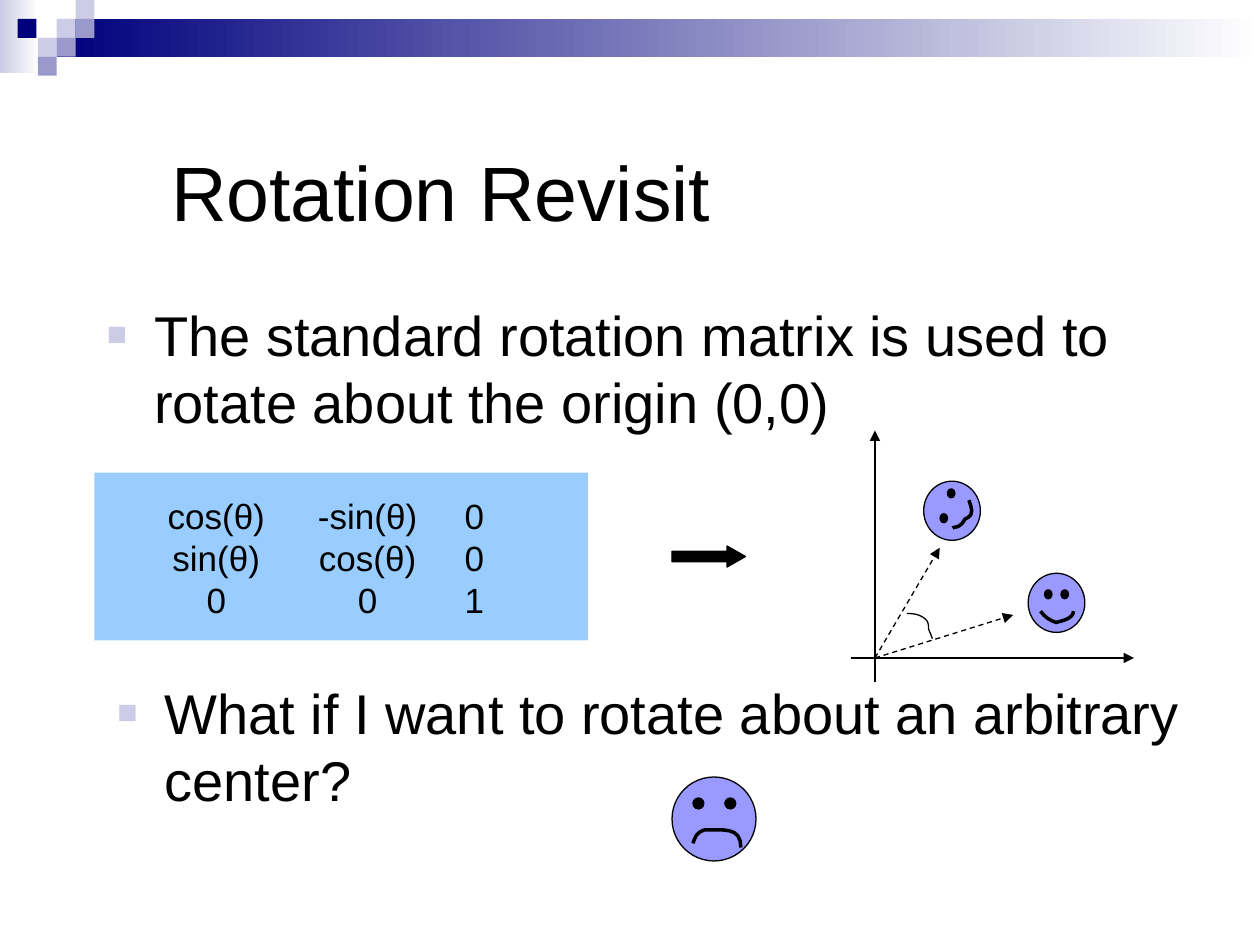
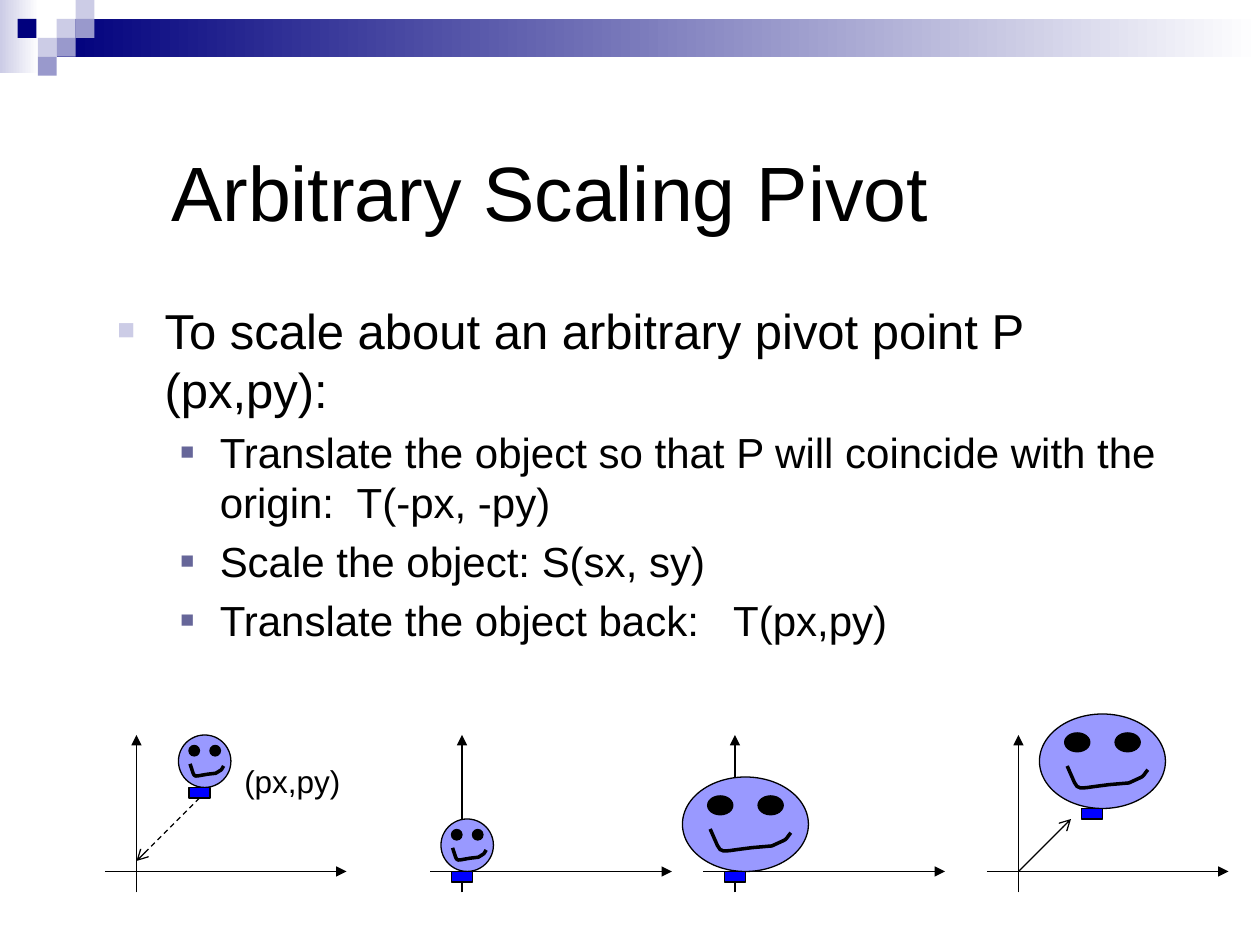
"""Build two slides on rotating about the origin and scaling about a pivot."""
from dataclasses import dataclass

from lxml import etree
from pptx import Presentation
from pptx import util as u
from pptx.dml.color import RGBColor
from pptx.enum import dml, shapes, text
from pptx.oxml.ns import qn


@dataclass(frozen=True)
class Theme:
    font: str = "Arial"
    ink: str = "000000"
    navy: str = "00007D"
    lilac: str = "CCCCE6"
    violet: str = "9999CC"
    slate: str = "666699"
    white: str = "FFFFFF"
    face: str = "9999FF"
    pivot: str = "0000FF"
    panel: str = "99CCFF"
    title_size: float = 44
    large_size: float = 32
    body_size: float = 28
    detail_size: float = 24
    matrix_size: float = 20
    label_size: float = 18
    thin: float = 0.75
    thick: float = 2


THEME = Theme()
Shape = shapes.MSO_SHAPE

SQUARE = 10.8
SQUARES = [
    (3, 1, THEME.lilac), (4, 0, THEME.lilac), (4, 1, THEME.violet),
    (2, 2, THEME.lilac), (0.93, 1, THEME.navy), (3, 2, THEME.violet),
    (2, 3, THEME.violet),
]
BANDS = [
    ((0, 0, 22.3, 41.8), THEME.lilac),
    ((3 * SQUARE, SQUARE, 720 - 3 * SQUARE, 2 * SQUARE), THEME.navy),
]
TITLE_BOX = (90.7, 49, 613.4, 90)

BULLET_STYLES = [
    {"margin": 27, "hanging": 27, "color": THEME.lilac, "percent": 60},
    {"margin": 58.5, "hanging": 22.5, "color": THEME.slate, "percent": 55},
]

FACES = {
    "happy": {
        "eyes": [(0.29, 0.28), (0.58, 0.28)], "eye_size": (0.13, 0.15),
        "mouth": [(0.22, 0.64), (0.29, 0.74), (0.38, 0.79), (0.49, 0.83),
                  (0.58, 0.81), (0.8, 0.77), (0.8, 0.64)],
    },
    "turned": {
        "eyes": [(0.29, 0.55), (0.42, 0.13)], "eye_size": (0.13, 0.15),
        "mouth": [(0.8, 0.32), (0.84, 0.45), (0.91, 0.57), (0.73, 0.64),
                  (0.69, 0.7), (0.69, 0.72), (0.6, 0.77),
                  (0.58, 0.77), (0.51, 0.79), (0.51, 0.79)],
    },
    "sad": {
        "eyes": [(0.25, 0.25), (0.63, 0.25)], "eye_size": (0.13, 0.13),
        "mouth": [(0.25, 0.79), (0.28, 0.7), (0.3, 0.66), (0.39, 0.63),
                  (0.6, 0.64), (0.82, 0.58), (0.82, 0.84)],
    },
    "smirk": {
        "eyes": [(0.2, 0.2), (0.6, 0.2)], "eye_size": (0.2, 0.2),
        "mouth": [(0.22, 0.55), (0.34, 0.89), (0.22, 0.77), (0.71, 0.73),
                  (0.85, 0.64), (0.8, 0.69), (0.86, 0.59)],
    },
}

ROTATION = {
    "title": "Rotation Revisit",
    "bullets": [
        ((54, 168, 612, 324),
         "The standard rotation matrix is used to rotate about the origin (0,0)"),
        ((60, 384, 630, 108),
         "What if I want to rotate about an arbitrary center?"),
    ],
    "panel": (54, 270, 282, 96),
    "matrix": [("cos(θ)", "-sin(θ)", "0"), ("sin(θ)", "cos(θ)", "0"), ("0", "0", "1")],
    "matrix_box": (72, 275.8, 219.6, 85),
    "matrix_tabs": (44.5, 131, 192),
    "arrow": (384, 312, 42, 12),
    "origin": (500, 376),
    "reach": (14, 148, 130, 14),
    "rays": [(579, 351.4), (537, 313)],
    "angle": [(532.8, 365), (532.1, 362.9), (531.4, 361.4), (530.6, 359.3),
              (530.6, 357.8), (530.6, 356.4), (529.9, 355),
              (527, 351.4), (522.7, 350.6), (518.4, 350.6)],
    "faces": [
        ("happy", (587.5, 327.6, 32.4, 33.8)),
        ("turned", (527.8, 275, 32.4, 33.8)),
        ("sad", (384, 444, 48, 48)),
    ],
}

SMALL_FACE = {"size": (30, 30), "pivot_offset": 12}
BIG_FACE = {"size": (72, 54), "pivot_offset": 30}
BASELINE = 498
SCALING = {
    "title": "Arbitrary Scaling Pivot",
    "box": (60, 168, 612, 324),
    "points": [
        (0, "To scale about an arbitrary pivot point P (px,py):", THEME.body_size),
        (1, "Translate the object so that P will coincide with the origin:  T(-px, -py)",
         THEME.detail_size),
        (1, "Scale the object: S(sx, sy)", THEME.detail_size),
        (1, "Translate the object back:   T(px,py)", THEME.detail_size),
    ],
    "reach": (18, 120, 78, 12),
    "steps": [
        (78, (114, 450), SMALL_FACE),
        (264, (264, BASELINE), SMALL_FACE),
        (420, (420, BASELINE), BIG_FACE),
        (582, (624, 462), BIG_FACE),
    ],
    "label": ((132.5, 432, 71.3, 28.8), "(px,py)"),
    "move_to_origin": (78, 492),
    "move_back": (612, 468),
}


def points(values):
    return [u.Pt(value) for value in values]


def rgb(value):
    return RGBColor.from_string(value)


def add_figure(slide, kind, box, fill, outlined=True):
    shape = slide.shapes.add_shape(kind, *points(box))
    shape.shadow.inherit = False
    shape.fill.solid()
    shape.fill.fore_color.rgb = rgb(fill)
    if outlined:
        shape.line.color.rgb = rgb(THEME.ink)
        shape.line.width = u.Pt(THEME.thin)
    else:
        shape.line.fill.background()
    return shape


def add_curve(slide, controls, width):
    steps = 8
    vertices = []
    for start in range(0, len(controls) - 1, 3):
        section = controls[start:start + 4]
        for step in range(1, steps + 1):
            t = step / steps
            weights = ((1 - t) ** 3, 3 * t * (1 - t) ** 2, 3 * t * t * (1 - t), t ** 3)
            vertices.append(points(
                sum(weight * point[axis] for weight, point in zip(weights, section))
                for axis in (0, 1)))
    builder = slide.shapes.build_freeform(*points(controls[0]))
    builder.add_line_segments(vertices, close=False)
    curve = builder.convert_to_shape()
    curve.shadow.inherit = False
    curve.fill.background()
    curve.line.color.rgb = rgb(THEME.ink)
    curve.line.width = u.Pt(width)


def add_arrow(slide, start, end, head="triangle", dashed=False):
    connector = slide.shapes.add_connector(
        shapes.MSO_CONNECTOR.STRAIGHT, *points((*start, *end)))
    connector.line.color.rgb = rgb(THEME.ink)
    connector.line.width = u.Pt(THEME.thin)
    if dashed:
        connector.line.dash_style = dml.MSO_LINE.DASH
    properties = connector._element.spPr
    etree.SubElement(properties.find(qn("a:ln")), qn("a:tailEnd"), type=head)
    etree.SubElement(properties, qn("a:effectLst"))
    return connector


def add_axes(slide, origin, reach):
    x, y = origin
    left, right, up, down = reach
    add_arrow(slide, (x - left, y), (x + right, y))
    add_arrow(slide, (x, y + down), (x, y - up))


def add_face(slide, name, box):
    left, top, width, height = box
    face = FACES[name]
    eye_width, eye_height = face["eye_size"]
    add_figure(slide, Shape.OVAL, box, THEME.face)
    for x, y in face["eyes"]:
        add_figure(slide, Shape.OVAL, (left + x * width, top + y * height,
                                       eye_width * width, eye_height * height), THEME.ink)
    mouth = [(left + x * width, top + y * height) for x, y in face["mouth"]]
    add_curve(slide, mouth, THEME.thick)


def add_text(slide, box, lines, size, anchor=text.MSO_ANCHOR.TOP, wrap=True):
    text_frame = slide.shapes.add_textbox(*points(box)).text_frame
    text_frame.word_wrap = wrap
    text_frame.vertical_anchor = anchor
    text_frame.text = "\n".join(lines)
    for paragraph in text_frame.paragraphs:
        format_runs(paragraph, size)
    return text_frame


def format_runs(paragraph, size):
    for run in paragraph.runs:
        run.font.name = THEME.font
        run.font.size = u.Pt(size)
        run.font.color.rgb = rgb(THEME.ink)


def add_bullets(slide, box, items):
    text_frame = add_text(slide, box, [line for _, line, _ in items], THEME.body_size)
    for paragraph, (level, _, size) in zip(text_frame.paragraphs, items):
        style = BULLET_STYLES[level]
        format_runs(paragraph, size)
        paragraph.level = level
        paragraph.space_before = u.Pt(0.2 * size)
        properties = paragraph._p.get_or_add_pPr()
        properties.set("marL", str(u.Pt(style["margin"])))
        properties.set("indent", str(-u.Pt(style["hanging"])))
        color = etree.SubElement(properties, qn("a:buClr"))
        etree.SubElement(color, qn("a:srgbClr"), val=style["color"])
        etree.SubElement(properties, qn("a:buSzPct"), val=str(style["percent"] * 1000))
        etree.SubElement(properties, qn("a:buFont"), typeface=THEME.font)
        etree.SubElement(properties, qn("a:buChar"), char="■")


def add_matrix(slide, box, rows, tabs):
    lines = ["".join("\t" + cell for cell in row) for row in rows]
    text_frame = add_text(slide, box, lines, THEME.matrix_size, text.MSO_ANCHOR.MIDDLE)
    for paragraph in text_frame.paragraphs:
        tab_list = etree.SubElement(paragraph._p.get_or_add_pPr(), qn("a:tabLst"))
        for tab in tabs:
            etree.SubElement(tab_list, qn("a:tab"), pos=str(u.Pt(tab)), algn="ctr")


def start_slide(presentation, title):
    slide = presentation.slides.add_slide(presentation.slide_layouts[6])
    for box, color in BANDS:
        band = add_figure(slide, Shape.RECTANGLE, box, color, outlined=False)
        band.fill.gradient()
        band.fill.gradient_angle = 0
        for stop, stop_color in zip(band.fill.gradient_stops, (color, THEME.white)):
            stop.color.rgb = rgb(stop_color)
    for column, row, color in SQUARES:
        box = (column * SQUARE, row * SQUARE, SQUARE, SQUARE)
        add_figure(slide, Shape.RECTANGLE, box, color, outlined=False)
    add_text(slide, TITLE_BOX, [title], THEME.title_size, text.MSO_ANCHOR.BOTTOM)
    return slide


def build_rotation(presentation):
    slide = start_slide(presentation, ROTATION["title"])
    add_figure(slide, Shape.RECTANGLE, ROTATION["panel"], THEME.panel, outlined=False)
    for box, line in ROTATION["bullets"]:
        add_bullets(slide, box, [(0, line, THEME.large_size)])
    add_matrix(slide, ROTATION["matrix_box"], ROTATION["matrix"], ROTATION["matrix_tabs"])
    add_axes(slide, ROTATION["origin"], ROTATION["reach"])
    for end in ROTATION["rays"]:
        add_arrow(slide, ROTATION["origin"], end, dashed=True)
    add_curve(slide, ROTATION["angle"], THEME.thin)
    for name, box in ROTATION["faces"]:
        add_face(slide, name, box)
    arrow = add_figure(slide, Shape.RIGHT_ARROW, ROTATION["arrow"], THEME.ink)
    arrow.adjustments[1] = 0.875


def build_scaling(presentation):
    slide = start_slide(presentation, SCALING["title"])
    add_bullets(slide, SCALING["box"], SCALING["points"])
    pivots = []
    for origin, (x, y), face in SCALING["steps"]:
        width, height = face["size"]
        add_axes(slide, (origin, BASELINE), SCALING["reach"])
        add_face(slide, "smirk", (x - face["pivot_offset"], y - height, width, height))
        pivots.append(add_figure(slide, Shape.RECTANGLE, (x - 6, y, 12, 6), THEME.pivot))
    box, label = SCALING["label"]
    add_text(slide, box, [label], THEME.label_size, wrap=False)
    move = add_arrow(slide, (114, 456), SCALING["move_to_origin"], "arrow", dashed=True)
    move.begin_connect(pivots[0], 2)
    add_arrow(slide, (SCALING["steps"][-1][0], BASELINE), SCALING["move_back"], "arrow")


def main():
    presentation = Presentation()
    presentation.slide_width, presentation.slide_height = points((720, 540))
    build_rotation(presentation)
    build_scaling(presentation)
    presentation.save("out.pptx")


if __name__ == "__main__":
    main()
